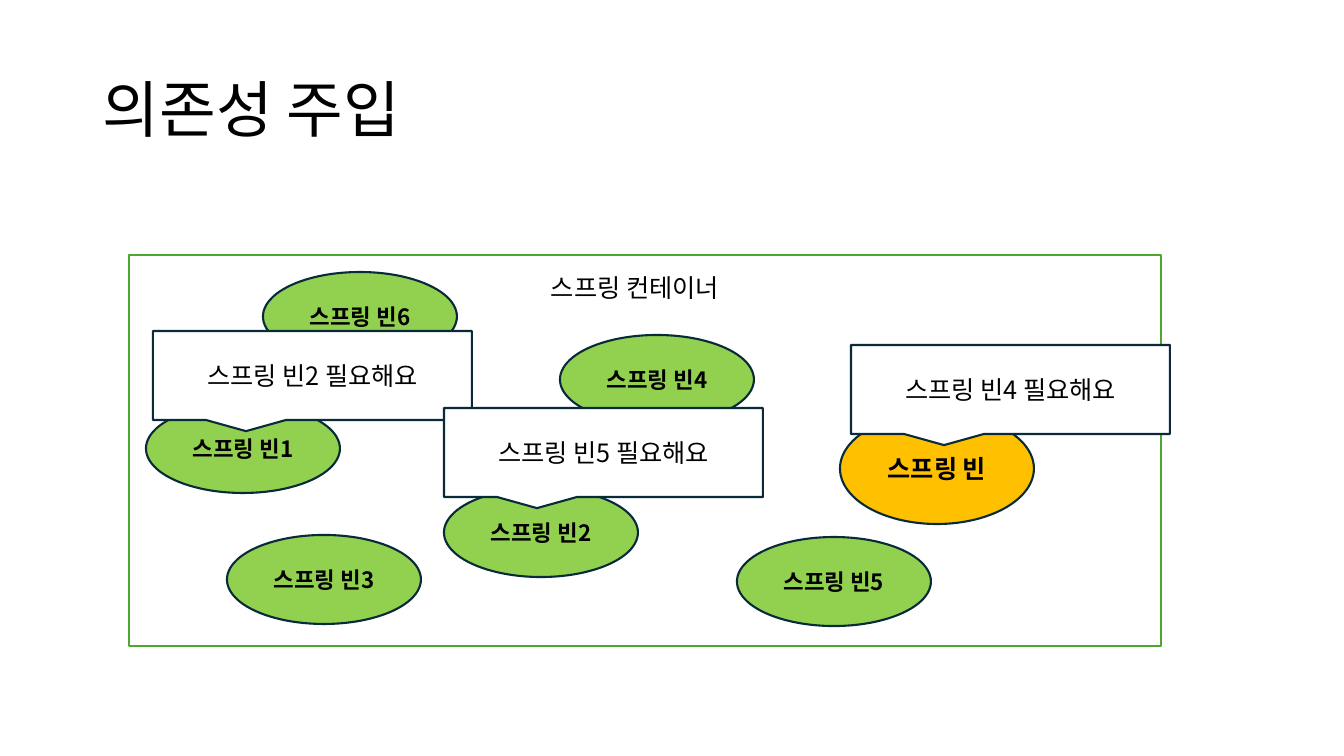
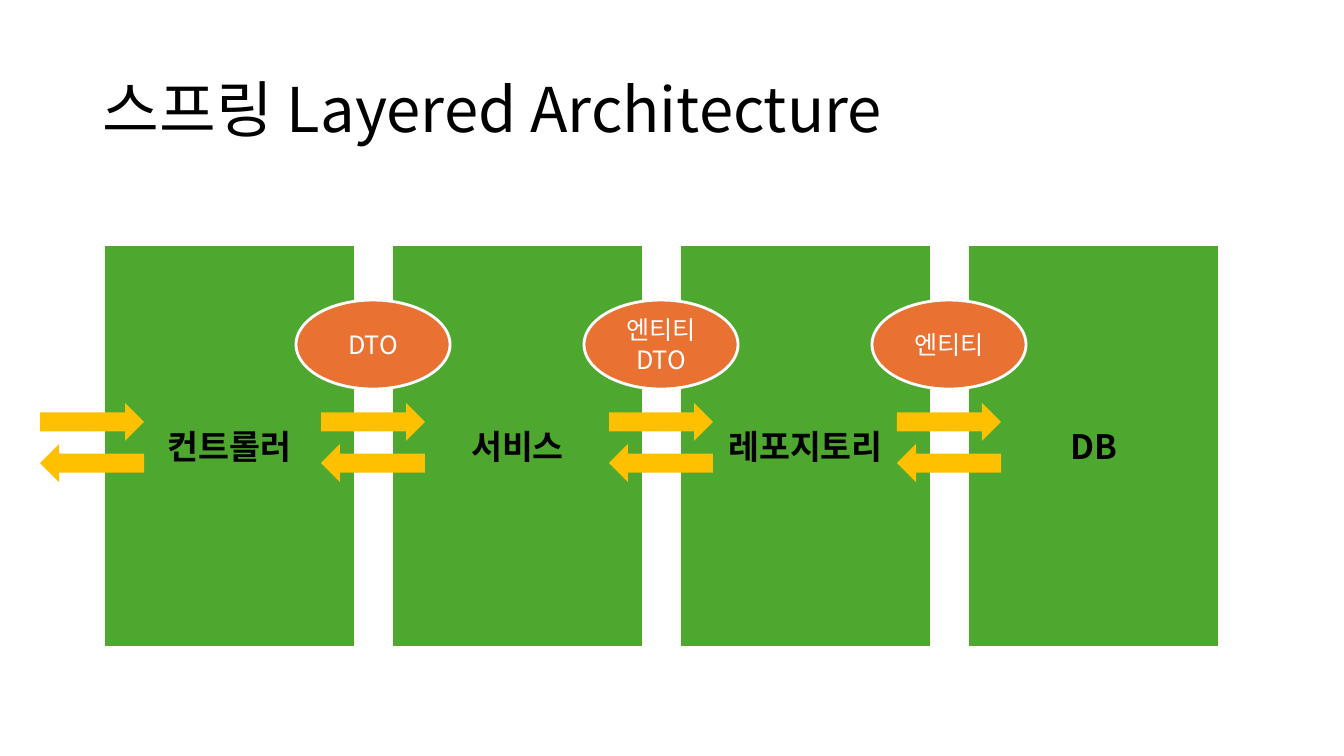
"""Builds two slides on Spring dependency injection and layered architecture."""
from dataclasses import dataclass

from lxml import etree
from pptx import Presentation
from pptx.dml.color import RGBColor
from pptx.enum.shapes import MSO_SHAPE
from pptx.enum.text import MSO_ANCHOR, MSO_AUTO_SIZE, PP_ALIGN
from pptx.oxml.ns import qn
from pptx.presentation import Presentation as Deck
from pptx.shapes.autoshape import Shape
from pptx.slide import Slide
from pptx.util import Emu, Pt

SLIDE_WIDTH, SLIDE_HEIGHT = 1344, 756
EMU_PER_PX = 12192000 / SLIDE_WIDTH
BLANK_LAYOUT = 6

RECTANGLE = MSO_SHAPE.RECTANGLE
ELLIPSE = MSO_SHAPE.OVAL
CALLOUT = MSO_SHAPE.RECTANGULAR_CALLOUT
ARROW = MSO_SHAPE.RIGHT_ARROW
LEFT, CENTER = PP_ALIGN.LEFT, PP_ALIGN.CENTER
TOP, MIDDLE = MSO_ANCHOR.TOP, MSO_ANCHOR.MIDDLE
FIT_SHAPE = MSO_AUTO_SIZE.SHAPE_TO_FIT_TEXT

FONT = "Noto Sans CJK KR"
BLACK, WHITE = "000000", "FFFFFF"
GREEN, LIME, AMBER = "4EA72E", "92D050", "FFC000"
ORANGE, NAVY = "E97132", "092A39"

COLUMN_LEFT, COLUMN_TOP = 104, 245
COLUMN_WIDTH, COLUMN_HEIGHT, COLUMN_GAP = 251, 402, 37
COLUMN_PITCH = COLUMN_WIDTH + COLUMN_GAP
FIRST_GAP_CENTER = COLUMN_LEFT + COLUMN_WIDTH + COLUMN_GAP // 2
ARROW_WIDTH, ARROW_HEIGHT = 104, 38
REQUEST_TOP, RESPONSE_TOP = 403, 444
OUTER_ARROW_LEFT = 40
DATA_WIDTH, DATA_HEIGHT, DATA_TOP = 154, 89, 300


@dataclass(frozen=True)
class Box:
    left: int
    top: int
    width: int
    height: int


@dataclass(frozen=True)
class TextStyle:
    size: int
    color: str = BLACK
    bold: bool = False
    align: PP_ALIGN = CENTER
    anchor: MSO_ANCHOR = MIDDLE
    line_spacing: float = 1.0
    wrap: bool = True


@dataclass(frozen=True)
class Look:
    preset: MSO_SHAPE
    fill: str
    line: str | None = None
    line_width: float = 1.5
    text: TextStyle | None = None


@dataclass(frozen=True)
class Node:
    box: Box
    look: Look
    label: str


TITLE = TextStyle(44, align=LEFT, line_spacing=0.9)
CONTAINER_LABEL = TextStyle(18, align=LEFT, anchor=TOP, wrap=False)
CONTAINER = Look(RECTANGLE, WHITE, GREEN)
BEAN = Look(ELLIPSE, LIME, NAVY, text=TextStyle(16, bold=True))
NEW_BEAN = Look(ELLIPSE, AMBER, NAVY, text=TextStyle(18, bold=True))
REQUEST = Look(CALLOUT, WHITE, NAVY, text=TextStyle(18))
LAYER = Look(RECTANGLE, GREEN, WHITE, 2, TextStyle(24, bold=True))
DATA = Look(ELLIPSE, ORANGE, WHITE, 2, TextStyle(18, WHITE))
FLOW = Look(ARROW, AMBER)


def px(length: float) -> Emu:
    """Turn pixels into EMU."""
    return Emu(round(length * EMU_PER_PX))


def rgb(value: str) -> RGBColor:
    """Turn a hex string into a colour."""
    return RGBColor.from_string(value)


def place(box: Box) -> tuple[Emu, Emu, Emu, Emu]:
    """Give the position and size of a box in EMU."""
    return px(box.left), px(box.top), px(box.width), px(box.height)


def write(shape: Shape, text: str, style: TextStyle) -> None:
    """Write each line of the text as one styled paragraph."""
    frame = shape.text_frame
    frame.word_wrap = style.wrap
    frame.vertical_anchor = style.anchor
    for index, line in enumerate(text.split("\n")):
        paragraph = frame.add_paragraph() if index else frame.paragraphs[0]
        paragraph.alignment = style.align
        paragraph.line_spacing = style.line_spacing
        run = paragraph.add_run()
        run.text = line
        run.font.name = FONT
        run.font.size = Pt(style.size)
        run.font.bold = style.bold
        run.font.color.rgb = rgb(style.color)
        east_asian = etree.SubElement(run.font._element, qn("a:ea"))
        east_asian.set("typeface", FONT)


def add_text(slide: Slide, box: Box, text: str, style: TextStyle) -> Shape:
    """Add a text box."""
    shape = slide.shapes.add_textbox(*place(box))
    write(shape, text, style)
    return shape


def add_node(slide: Slide, box: Box, look: Look, label: str = "") -> Shape:
    """Add a preset shape with its label."""
    shape = slide.shapes.add_shape(look.preset, *place(box))
    shape.shadow.inherit = False
    shape.fill.solid()
    shape.fill.fore_color.rgb = rgb(look.fill)
    if look.line:
        shape.line.color.rgb = rgb(look.line)
        shape.line.width = Pt(look.line_width)
    else:
        shape.line.fill.background()
    if look.text:
        write(shape, label, look.text)
    return shape


def add_slide(presentation: Deck, title: str) -> Slide:
    """Add a blank slide with the shared title."""
    slide = presentation.slides.add_slide(presentation.slide_layouts[BLANK_LAYOUT])
    add_text(slide, Box(93, 40, 1159, 146), title, TITLE)
    return slide


def bean(left: int, top: int, number: int) -> Node:
    """Describe a numbered bean."""
    return Node(Box(left, top, 194, 89), BEAN, f"스프링 빈{number}")


def request(left: int, top: int, number: int) -> Node:
    """Describe a callout that asks for a bean."""
    return Node(Box(left, top, 319, 89), REQUEST, f"스프링 빈{number} 필요해요")


def build_injection(presentation: Deck) -> None:
    """Draw the container with its beans and their requests."""
    slide = add_slide(presentation, "의존성 주입")
    add_node(slide, Box(129, 255, 1032, 391), CONTAINER)
    label = add_text(slide, Box(541, 267, 208, 40), "스프링 컨테이너", CONTAINER_LABEL)
    label.text_frame.auto_size = FIT_SHAPE
    nodes = (
        bean(146, 404, 1),
        bean(444, 488, 2),
        bean(227, 535, 3),
        bean(263, 272, 6),
        bean(737, 537, 5),
        Node(Box(840, 413, 194, 111), NEW_BEAN, "스프링 빈"),
        request(851, 345, 4),
        bean(560, 335, 4),
        request(153, 331, 2),
        request(444, 408, 5),
    )
    for node in nodes:
        add_node(slide, node.box, node.look, node.label)


def add_exchange(slide: Slide, left: int) -> None:
    """Add a request arrow above a response arrow."""
    for top, rotation in ((REQUEST_TOP, 0), (RESPONSE_TOP, 180)):
        arrow = add_node(slide, Box(left, top, ARROW_WIDTH, ARROW_HEIGHT), FLOW)
        arrow.rotation = rotation


def build_layers(presentation: Deck) -> None:
    """Draw the layers and the data exchanged between them."""
    slide = add_slide(presentation, "스프링 Layered Architecture")
    for index, name in enumerate(("컨트롤러", "서비스", "레포지토리", "DB")):
        left = COLUMN_LEFT + index * COLUMN_PITCH
        add_node(slide, Box(left, COLUMN_TOP, COLUMN_WIDTH, COLUMN_HEIGHT), LAYER, name)
    add_exchange(slide, OUTER_ARROW_LEFT)
    for index, name in enumerate(("DTO", "엔티티\nDTO", "엔티티")):
        center = FIRST_GAP_CENTER + index * COLUMN_PITCH
        add_exchange(slide, center - ARROW_WIDTH // 2)
        data_box = Box(center - DATA_WIDTH // 2, DATA_TOP, DATA_WIDTH, DATA_HEIGHT)
        add_node(slide, data_box, DATA, name)


def main() -> None:
    """Build and save the presentation."""
    presentation = Presentation()
    presentation.slide_width = px(SLIDE_WIDTH)
    presentation.slide_height = px(SLIDE_HEIGHT)
    build_injection(presentation)
    build_layers(presentation)
    presentation.save("out.pptx")


if __name__ == "__main__":
    main()
